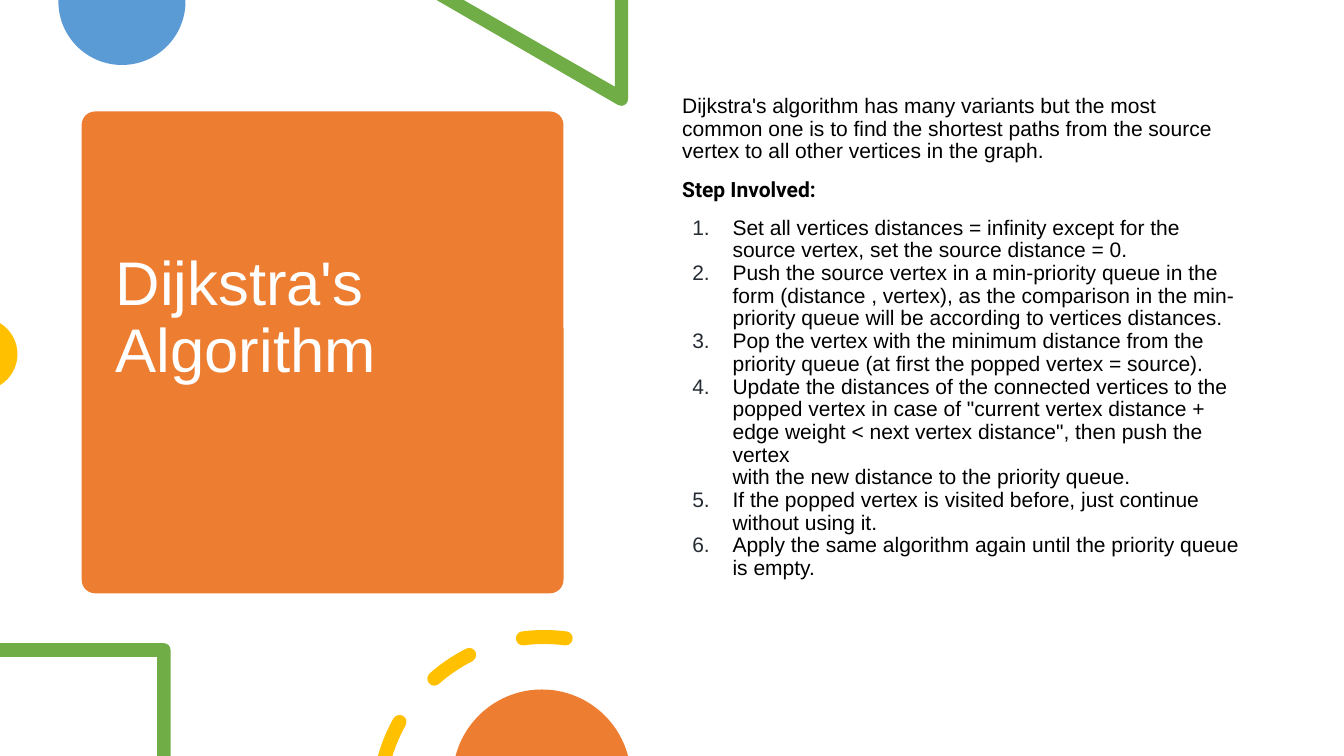
from dataclasses import dataclass
from math import cos, radians, sin, tan

from lxml.etree import SubElement
from pptx import Presentation
from pptx.dml.color import RGBColor
from pptx.enum.shapes import MSO_SHAPE
from pptx.enum.text import MSO_ANCHOR
from pptx.oxml.ns import qn
from pptx.util import Pt

Point = tuple[float, float]
Step = tuple[Point, ...]  # one point is a line, three are a curve
Outline = list[Step]


@dataclass(frozen=True)
class Theme:
    orange: str = "ED7D31"
    blue: str = "5B9BD5"
    green: str = "70AD47"
    gold: str = "FFC000"
    white: str = "FFFFFF"
    black: str = "000000"
    number: str = "252C33"
    font: str = "Arial"
    accent: str = "Roboto"
    title: float = 44
    body: float = 15


@dataclass(frozen=True)
class Figure:
    color: str
    outlines: list[Outline]


@dataclass(frozen=True)
class Dash:
    """Angles in degrees; a cut dash ends flat at the slide's edge."""
    start: float
    inner: float
    end: float
    cut: bool = False


@dataclass(frozen=True)
class Line:
    text: str
    before: float = 0
    heading: bool = False
    step: bool = False


THEME = Theme()
RING, RADIUS, HALF = (388.8, 573.5), 118.5, 5
DASHES = [
    Dash(195.74, 197.17, 209.2, cut=True),
    Dash(228.5, 228.5, 243.1),
    Dash(262.6, 262.6, 277.4),
]
STEPS = [
    "Set all vertices distances = infinity except for the source vertex, "
    "set the source distance = 0.",
    "Push the source vertex in a min-priority queue in the form (distance , vertex), "
    "as the comparison in the min-priority queue will be according to vertices distances.",
    "Pop the vertex with the minimum distance from the priority queue "
    "(at first the popped vertex = source).",
    "Update the distances of the connected vertices to the popped vertex in case of "
    '"current vertex distance + edge weight < next vertex distance", then push the vertex\v'
    "with the new distance to the priority queue.",
    "If the popped vertex is visited before, just continue without using it.",
    "Apply the same algorithm again until the priority queue is empty.",
]
LINES = [
    Line("Dijkstra's algorithm has many variants but the most common one is to find "
         "the shortest paths from the source vertex to all other vertices in the graph."),
    Line("Step Involved:", before=11, heading=True),
    *(Line(text, before=0 if i else 11, step=True) for i, text in enumerate(STEPS)),
]


def lines(*points: Point) -> Outline:
    return [(point,) for point in points]


def arc(center: Point, radius: float, start: float, end: float) -> Outline:
    """A start point, then curves split at quarter turns; degrees, clockwise."""
    def spot(angle: float, pull: float = 0) -> Point:
        c, s = cos(radians(angle)), sin(radians(angle))
        return center[0] + radius * (c - pull * s), center[1] + radius * (s + pull * c)

    low, high = sorted((start, end))
    stops = [low, *(q for q in range(-360, 721, 90) if low < q < high), high]
    if start > end:
        stops.reverse()
    outline = lines(spot(start))
    for a, b in zip(stops, stops[1:]):
        pull = 4 / 3 * tan(radians(b - a) / 4)
        outline.append((spot(a, pull), spot(b, -pull), spot(b)))
    return outline


def bend(dash: Dash) -> Outline:
    """Outline of one round-ended dash on the ring."""
    def cap(angle: float, turn: float) -> Outline:
        middle = arc(RING, RADIUS, angle, angle)[0][0]
        return arc(middle, HALF, turn, turn + 180)[1:]

    outline = arc(RING, RADIUS + HALF, dash.start, dash.end)
    outline += cap(dash.end, dash.end)
    outline += arc(RING, RADIUS - HALF, dash.end, dash.inner)[1:]
    return outline if dash.cut else outline + cap(dash.start, dash.start + 180)


FIGURES = [
    Figure(THEME.blue, [[*lines((132.5, 0)), *arc((87.1, 1), 45.4, 0, 180),
                         *lines((41.7, 0))]]),
    Figure(THEME.green, [[*lines((448.6, 0), (439.2, 0), (439.2, 61.9), (331.2, 0), (311.8, 0)),
                          *arc((443.8, 70.8), 4.8, 120, 0)]]),
    Figure(THEME.gold, [arc((-13.4, 253), 25.9, -58.5, 58.5)]),
    Figure(THEME.green, [[*lines((0, 459.4)), *arc((117, 464.2), 4.8, 270, 360),
                          *lines((121.8, 540), (112.3, 540), (112.3, 469.2), (0, 469.2))]]),
    Figure(THEME.gold, [bend(dash) for dash in DASHES]),
    Figure(THEME.orange, [arc((387, 556.2), 63.7, 194.7, 345.3)]),
]


def paint(shape, color: str) -> None:
    shape.shadow.inherit = False
    shape.fill.solid()
    shape.fill.fore_color.rgb = RGBColor.from_string(color)
    shape.line.fill.background()


def curve(shape, outlines: list[Outline]) -> None:
    """Join the three segments of each curved step into one Bézier."""
    parts = iter(list(next(shape._element.iter(qn("a:path")))))
    for outline in outlines:
        next(parts)
        for step in outline[1:]:
            first = next(parts)
            if len(step) == 3:
                first.tag = qn("a:cubicBezTo")
                for part in (next(parts), next(parts)):
                    first.append(part[0])
                    part.getparent().remove(part)
        next(parts)


def draw(slide, figure: Figure) -> None:
    builder = None
    for outline in figure.outlines:
        first, *rest = [(Pt(x), Pt(y)) for step in outline for x, y in step]
        if builder is None:
            builder = slide.shapes.build_freeform(*first, scale=1.0)
        else:
            builder.move_to(*first)
        builder.add_line_segments(rest, close=True)
    shape = builder.convert_to_shape()
    curve(shape, figure.outlines)
    paint(shape, figure.color)


def style(para, color: str, size: float, font: str, bold: bool = False) -> None:
    para.line_spacing = 0.9
    for run in para.runs:
        run.font.name = font
        run.font.size = Pt(size)
        run.font.bold = bold
        run.font.color.rgb = RGBColor.from_string(color)


def number(para) -> None:
    props = para._p.get_or_add_pPr()
    props.set("marL", str(Pt(36)))
    props.set("indent", str(Pt(-28.8)))
    tint = SubElement(props, qn("a:buClr"))
    SubElement(tint, qn("a:srgbClr"), val=THEME.number)
    SubElement(props, qn("a:buFont"), typeface=THEME.font)
    SubElement(props, qn("a:buAutoNum"), type="arabicPeriod")


def card(slide) -> None:
    side = Pt(344.2)
    shape = slide.shapes.add_shape(MSO_SHAPE.ROUNDED_RECTANGLE, Pt(58.3), Pt(79.6), side, side)
    shape.adjustments[0] = 0.028
    paint(shape, THEME.orange)


def title(slide) -> None:
    frame = slide.shapes.add_textbox(Pt(75.6), Pt(87.8), Pt(310.3), Pt(328.3)).text_frame
    frame.word_wrap = True
    frame.vertical_anchor = MSO_ANCHOR.MIDDLE
    frame.margin_bottom = Pt(51.4)
    frame.text = "Dijkstra's Algorithm"
    style(frame.paragraphs[0], THEME.white, THEME.title, THEME.font)


def body(slide) -> None:
    frame = slide.shapes.add_textbox(Pt(480.2), Pt(64.6), Pt(414), Pt(385.2)).text_frame
    frame.word_wrap = True
    for i, line in enumerate(LINES):
        para = frame.add_paragraph() if i else frame.paragraphs[0]
        para.text = line.text
        if line.step:
            number(para)
        if line.before:
            para.space_before = Pt(line.before)
        font = THEME.accent if line.heading else THEME.font
        style(para, THEME.black, THEME.body, font, line.heading)


deck = Presentation()
deck.slide_width, deck.slide_height = Pt(960), Pt(540)
page = deck.slides.add_slide(deck.slide_layouts[6])
card(page)
title(page)
for figure in FIGURES:
    draw(page, figure)
body(page)
deck.save("out.pptx")
